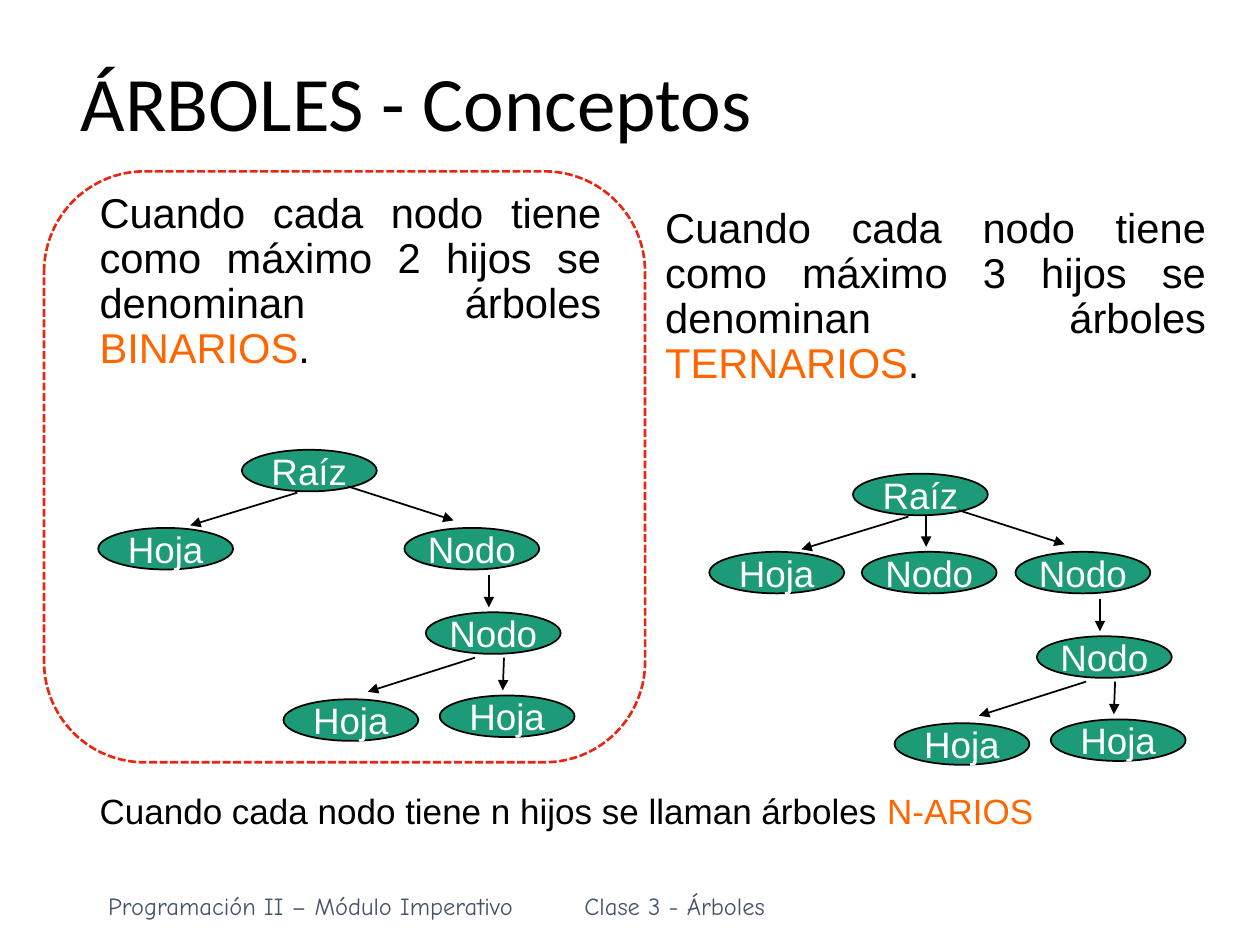
from lxml.etree import SubElement
from pptx import Presentation
from pptx.dml.color import RGBColor
from pptx.enum.dml import MSO_LINE
from pptx.enum.shapes import MSO_CONNECTOR, MSO_SHAPE
from pptx.enum.text import MSO_ANCHOR, MSO_AUTO_SIZE, PP_ALIGN
from pptx.oxml.ns import qn
from pptx.util import Emu, Pt

PX = 9144  # 100 px to the inch
BLACK = RGBColor(0x00, 0x00, 0x00)
WHITE = RGBColor(0xFF, 0xFF, 0xFF)
GREEN = RGBColor(0x1D, 0x9A, 0x78)
ORANGE = RGBColor(0xFF, 0x66, 0x00)
RED = RGBColor(0xE9, 0x26, 0x11)
SLATE = RGBColor(0x44, 0x54, 0x6A)

NODE_WIDTH, NODE_HEIGHT = 107, 33
# Offsets from the top left corner of a tree
BINARY_NODES = [
    ("Raíz", 114, 0),
    ("Hoja", 0, 62),
    ("Nodo", 243, 62),
    ("Nodo", 260, 129),
    ("Hoja", 271, 195),
    ("Hoja", 147, 198),
]
BINARY_ARROWS = [
    (158, 34, 73, 60),
    (198, 29, 282, 56),
    (310, 99, 310, 125),
    (299, 165, 214, 192),
    (322, 165, 321, 191),
]
TERNARY_NODES = BINARY_NODES + [("Nodo", 121, 62)]
TERNARY_ARROWS = BINARY_ARROWS + [(172, 32, 172, 58)]


def px(*lengths):
    return [Emu(length * PX) for length in lengths]


def write(shape, runs, size, font="Arial", align=PP_ALIGN.LEFT, spacing=None,
          anchor=MSO_ANCHOR.TOP, wrap=True, insets=(12, 6)):
    """Fill the shape with one paragraph made of (text, colour) runs."""
    frame = shape.text_frame
    side, edge = px(*insets)
    frame_format = {
        "auto_size": MSO_AUTO_SIZE.NONE, "word_wrap": wrap,
        "vertical_anchor": anchor, "margin_left": side, "margin_right": side,
        "margin_top": edge, "margin_bottom": edge,
    }
    for name, value in frame_format.items():
        setattr(frame, name, value)
    paragraph = frame.paragraphs[0]
    paragraph.alignment = align
    paragraph.line_spacing = spacing
    for text, color in runs:
        run = paragraph.add_run()
        run.text = text
        run.font.color.rgb = color
        for name, value in {"size": Pt(size), "name": font}.items():
            setattr(run.font, name, value)


def add_text(slide, box, runs, size, **text_format):
    write(slide.shapes.add_textbox(*px(*box)), runs, size, **text_format)


def add_node(group, label, left, top):
    node = group.shapes.add_shape(
        MSO_SHAPE.OVAL, *px(left, top, NODE_WIDTH, NODE_HEIGHT))
    node.shadow.inherit = False
    node.fill.solid()
    node.fill.fore_color.rgb = GREEN
    node.line.color.rgb = BLACK
    node.line.width = Pt(1)
    write(node, [(label, WHITE)], 21, align=PP_ALIGN.CENTER,
          anchor=MSO_ANCHOR.MIDDLE, wrap=False)


def add_arrow(group, *ends):
    arrow = group.shapes.add_connector(MSO_CONNECTOR.STRAIGHT, *px(*ends))
    arrow.line.color.rgb = BLACK
    arrow.line.width = Pt(1)
    SubElement(arrow.line._get_or_add_ln(), qn("a:tailEnd"), type="triangle")
    SubElement(arrow._element.spPr, qn("a:effectLst"))


def add_tree(slide, left, top, nodes, arrows):
    group = slide.shapes.add_group_shape()
    for label, x, y in nodes:
        add_node(group, label, left + x, top + y)
    for x1, y1, x2, y2 in arrows:
        add_arrow(group, left + x1, top + y1, left + x2, top + y2)


def add_definition(slide, box, children, term):
    text = f"Cuando cada nodo tiene como máximo {children} hijos se denominan árboles "
    add_text(slide, box, [(text, BLACK), (term, ORANGE), (".", BLACK)], 23.8,
             align=PP_ALIGN.JUSTIFY, spacing=0.9)


def add_highlight(slide, box):
    frame = slide.shapes.add_shape(MSO_SHAPE.ROUNDED_RECTANGLE, *px(*box))
    frame.shadow.inherit = False
    frame.adjustments[0] = 0.17
    frame.fill.background()
    frame.line.color.rgb = RED
    frame.line.width = Pt(1.5)
    frame.line.dash_style = MSO_LINE.SQUARE_DOT


def place_title(slide, box, text):
    title = slide.shapes.title
    title.left, title.top, title.width, title.height = px(*box)
    title.fill.solid()
    title.fill.fore_color.rgb = WHITE
    write(title, [(text, BLACK)], 44, font="Calibri", spacing=0.9,
          anchor=MSO_ANCHOR.MIDDLE, insets=(10, 5))


def add_footer(slide, top):
    for text, left, width in [("Programación II – Módulo Imperativo", 76, 343),
                              ("Clase 3 - Árboles", 454, 163)]:
        add_text(slide, (left, top, width, 34), [(text, SLATE)], 14,
                 font="Comic Neue", wrap=False, insets=(10, 5))


def main():
    presentation = Presentation()
    presentation.slide_width, presentation.slide_height = px(1000, 750)
    slide = presentation.slides.add_slide(presentation.slide_layouts[5])

    place_title(slide, (54, 46, 753, 77), "ÁRBOLES - Conceptos")
    add_footer(slide, 702)
    add_definition(slide, (67, 147, 422, 177), 2, "BINARIOS")
    add_tree(slide, 78, 357, BINARY_NODES, BINARY_ARROWS)
    add_definition(slide, (516, 159, 453, 177), 3, "TERNARIOS")
    add_tree(slide, 563, 376, TERNARY_NODES, TERNARY_ARROWS)
    add_text(slide, (67, 621, 822, 73),
             [("Cuando cada nodo tiene n hijos se llaman árboles ", BLACK),
              ("N-ARIOS", ORANGE)], 20, align=PP_ALIGN.JUSTIFY)
    add_highlight(slide, (35, 136, 477, 469))

    presentation.save("out.pptx")


if __name__ == "__main__":
    main()
